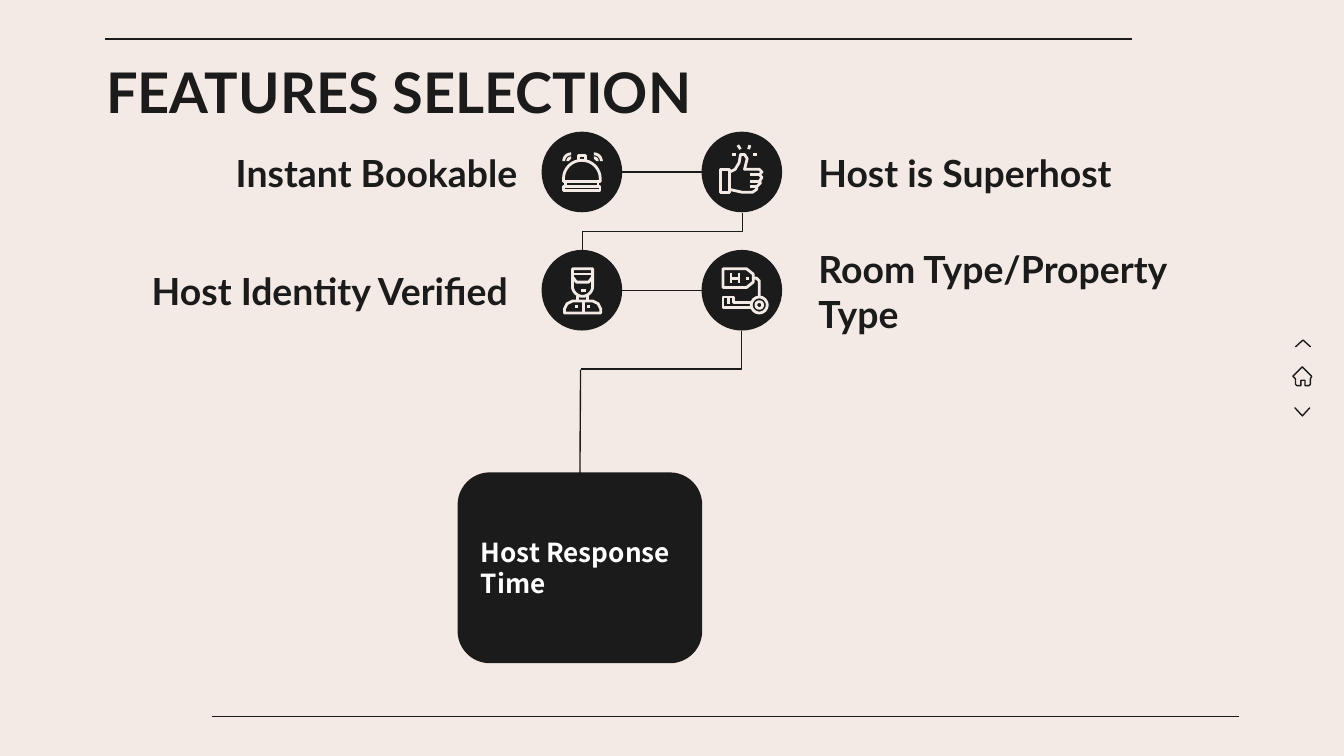
from math import cos, radians, sin

from pptx import Presentation
from pptx.dml.color import RGBColor
from pptx.enum.shapes import MSO_CONNECTOR as LINK, MSO_SHAPE as SHAPE
from pptx.enum.text import MSO_ANCHOR as ANCHOR, PP_ALIGN as ALIGN
from pptx.oxml.ns import qn
from pptx.util import Inches, Pt

INK, PAPER, WHITE = "1B1B1B", "F4EAE5", "FFFFFF"
color = RGBColor.from_string


def arc(x, y, radius, start, end):
    """Points along an arc; angles run clockwise from the right."""
    steps = 16
    angles = [radians(start + (end - start) * i / steps) for i in range(steps + 1)]
    return [(x + radius * cos(a), y + radius * sin(a)) for a in angles]


def write(frame, text, style, insets=(0.1, 0.1, 0.1, 0.1)):
    """Fill a text frame; insets are left, top, right, bottom in inches."""
    frame.word_wrap = True
    frame.vertical_anchor = style["anchor"]
    for side, inset in zip(("left", "top", "right", "bottom"), insets):
        setattr(frame, f"margin_{side}", Inches(inset))
    para = frame.paragraphs[0]
    para.alignment = style["align"]
    span = para.add_run()
    span.text = text
    for name, value in style["font"].items():
        setattr(span.font, name, value)
    span.font.color.rgb = color(style["color"])


deck = Presentation()
deck.slide_width, deck.slide_height = Inches(10), Inches(10 * 9 / 16)
slide = deck.slides.add_slide(deck.slide_layouts[6])
slide.background.fill.solid()
slide.background.fill.fore_color.rgb = color(PAPER)
shapes = slide.shapes

# Title and labels
title_style = {"anchor": ANCHOR.TOP, "align": ALIGN.LEFT, "color": INK,
               "font": {"name": "Lato", "size": Pt(30), "bold": True}}
label_style = {**title_style, "anchor": ANCHOR.MIDDLE,
               "font": {"name": "Lato", "size": Pt(20), "bold": True}}
right_style = {**label_style, "align": ALIGN.RIGHT}
box_style = {**label_style, "color": WHITE,
             "font": {"name": "Noto Sans CJK KR", "size": Pt(14), "bold": True}}
edge = (0.1, 0.1, 0.1, 0.1)
texts = [
    ("FEATURES SELECTION", 0.79, 0.43, 8.43, 0.5, title_style, (0, 0, 0, 0)),
    ("Instant Bookable", 0.89, 1.06, 3.06, 0.45, right_style, edge),
    ("Host is Superhost", 5.99, 1.06, 3.15, 0.45, label_style, edge),
    ("Host Identity Verified", 1.03, 1.94, 2.92, 0.45, right_style, (0.1, 0.1, 0.17, 0.1)),
    ("Room Type/Property Type", 5.99, 1.94, 2.98, 0.45, label_style, edge),
]
for text, left, top, width, height, style, insets in texts:
    label = shapes.add_textbox(Inches(left), Inches(top), Inches(width), Inches(height))
    write(label.text_frame, text, style, insets)

# Feature circles and the response time box
columns, rows, diameter = (4.33, 5.52), (1.28, 2.16), 0.6
solids = [(SHAPE.OVAL, x - diameter / 2, y - diameter / 2, diameter, diameter)
          for y in rows for x in columns]
solids.append((SHAPE.FLOWCHART_ALTERNATE_PROCESS, 3.41, 3.52, 1.81, 1.41))
for kind, left, top, width, height in solids:
    solid = shapes.add_shape(kind, Inches(left), Inches(top), Inches(width), Inches(height))
    solid.shadow.inherit = False
    solid.fill.solid()
    solid.fill.fore_color.rgb = color(INK)
    solid.line.fill.background()
response_box = solid
response_box.line.color.rgb = color(INK)
response_box.line.width = Pt(0.75)
write(response_box.text_frame, "Host Response Time", box_style)

# Rules and links: kind, start, end, preset, quarter turn
links = [
    (LINK.STRAIGHT, 8.42, 0.29, 0.78, 0.29, "line", False),
    (LINK.STRAIGHT, 1.58, 5.33, 9.22, 5.33, "line", False),
    (LINK.ELBOW, 4.63, 1.28, 5.22, 1.28, "bentConnector3", False),
    (LINK.ELBOW, 4.63, 2.16, 5.22, 2.16, "bentConnector3", False),
    (LINK.ELBOW, 4.79, 1.13, 5.07, 2.32, "bentConnector3", True),
    (LINK.ELBOW, 4.78, 2.01, 5.06, 3.2, "bentConnector2", True),
    (LINK.STRAIGHT, 4.32, 2.75, 4.31, 3.52, "line", False),
]
for kind, x1, y1, x2, y2, preset, turned in links:
    link = shapes.add_connector(kind, Inches(x1), Inches(y1), Inches(x2), Inches(y2))
    link.line.color.rgb = color(INK)
    link.line.width = Pt(0.75)
    properties = link._element.spPr
    properties.append(properties.makeelement(qn("a:effectLst"), {}))
    properties.find(qn("a:prstGeom")).set("prst", preset)
    if turned:
        properties.find(qn("a:xfrm")).set("rot", "5400000")
link.end_connect(response_box, 0)

# Icon strokes, in hundredths of an inch from each icon's centre
bell = [
    [*arc(0, 5, 13.7, 180, 360), (13.7, 7), (-13.7, 7), (-13.7, 5)],
    [(-2.5, -8), (-2.5, -12), (2.5, -12), (2.5, -8)],
    [(-13.5, 11), (13.5, 11), (13.5, 14), (-13.5, 14), (-13.5, 11)],
    [(-12, 7), (-12, 11)], [(12, 7), (12, 11)],
    arc(-8, -8, 5.5, 180, 270), arc(-8, -8, 2.5, 180, 270),
    arc(9, -8, 5.5, 270, 360), arc(9, -8, 2.5, 270, 360),
]
thumb = [
    [(-16, -2), (-9, -2), (-9, 15), (-16, 15), (-16, -2)],
    [(-9, 0), (-5, -2), (-2, -7), (-1, -13), (2, -13), (4, -10), (2, -2), (13, -2),
     (15, 0), (13, 2), (15, 4), (13, 7), (14, 8), (11, 11), (11, 13), (8, 15),
     (0, 15), (-9, 13)],
    [(6, 2), (13, 2)], [(6, 7), (13, 7)], [(6, 11), (11, 11)],
    [(-3, -20), (-1, -17)], [(6, -20), (5, -17)],
    [(8, -13), (11, -13)], [(-7, -13), (-4.5, -13)],
]
doorman = [
    [(-7, -3), (-7, -16), (8, -16), *arc(0.5, -3, 7.5, 0, 180)],
    [(-7, -12), (8, -12)],
    [(-7, -10), (-4, -6), (5, -6), (8, -10)],
    [(-1, 0), (3, 0)], [(-3, 4), (-3, 8)], [(4, 4), (4, 8)],
    [(-13, 17), (-13, 14), (-11, 10), (-7, 8), (8, 8), (12, 10), (14, 14), (14, 17),
     (-13, 17)],
    [(1, 8), (1, 17)], [(-5, 12), (-3, 12)], [(4, 12), (6, 12)],
]
key = [
    [(-14, -16), (3.5, -16), (8.5, -12), (8.5, -6), (3.5, -2), (-14, -2), (-14, -16)],
    [(-8, -13), (-8, -5)], [(-2, -13), (-2, -5)], [(-8, -9), (-2, -9)],
    [(3, -9), (5, -9)],
    [(9, -9), (11, -9), (13, -7), (13, 5)],
    arc(13, 11, 6, 0, 360), arc(13, 11, 2.5, 0, 360),
    [(7, 9), (-6, 9), (-6, 5), (-14, 5), (-14, 13), (7, 13)],
    [(-10, 5), (-10, 10)],
]
house = [[(0, -7), (-7, 0), (-5, 2), (-5, 6), (-4, 7), (-1, 7), (-1, 3), (2, 3),
          (2, 7), (5, 7), (6, 6), (6, 2), (7, 0), (0, -7)]]

centres = [(x, y) for y in rows for x in columns] + [(9.69, 2.8)]
for (x, y), strokes in zip(centres, (bell, thumb, doorman, key, house)):
    builder = None
    for stroke in strokes:
        points = [(x * 1000 + dx * 10, y * 1000 + dy * 10) for dx, dy in stroke]
        if builder is None:
            builder = shapes.build_freeform(*points[0], scale=Inches(1) / 1000)
        else:
            builder.move_to(*points[0])
        builder.add_line_segments(points[1:], close=False)
    icon = builder.convert_to_shape()
    icon.shadow.inherit = False
    icon.fill.background()
    icon.line.color.rgb = color(INK if strokes is house else PAPER)
    icon.line.width = Pt(0.75 if strokes is house else 1.5)

# Up and down arrows beside the house
for left, top, width, angle in ((9.67, 2.5, 0.05, 270), (9.66, 3.01, 0.06, 90)):
    arrow = shapes.add_shape(SHAPE.CHEVRON, Inches(left), Inches(top), Inches(width), Inches(0.11))
    arrow.adjustments[0] = 1
    arrow.rotation = angle
    arrow.shadow.inherit = False
    arrow.fill.background()
    arrow.line.color.rgb = color(INK)
    arrow.line.width = Pt(0.75)

deck.save("out.pptx")
